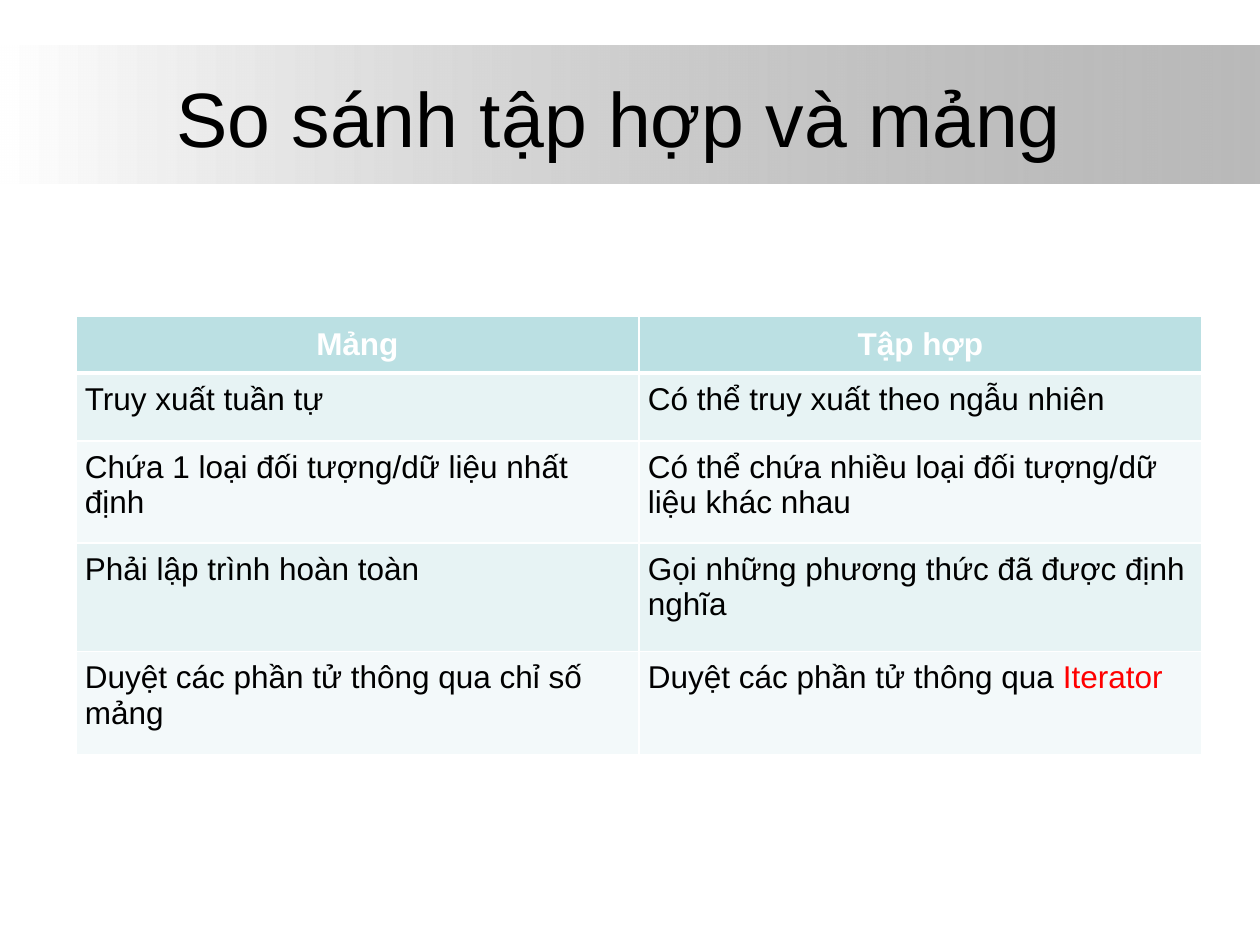
import lxml.etree
import pptx
import pptx.dml.color
import pptx.enum.shapes
import pptx.enum.text
import pptx.oxml.ns
import pptx.util
from pptx.util import Cm

ALIGN = pptx.enum.text.PP_ALIGN
ANCHOR = pptx.enum.text.MSO_ANCHOR

HEADINGS = ["Mảng", "Tập hợp"]
COMPARISONS = [
    (["Truy xuất tuần tự"], ["Có thể truy xuất theo ngẫu nhiên"]),
    (["Chứa 1 loại đối tượng/dữ liệu nhất định"],
     ["Có thể chứa nhiều loại đối tượng/dữ liệu khác nhau"]),
    (["Phải lập trình hoàn toàn"], ["Gọi những phương thức đã được định nghĩa"]),
    (["Duyệt các phần tử thông qua chỉ số mảng"],
     ["Duyệt các phần tử thông qua ", ("Iterator", "FF0000")]),
]
ROW_HEIGHTS = [1.14, 1.37, 2.06, 2.18, 2.08]
BAND_FILLS = ["E7F3F4", "F3F9FA"]


def rgb(hex_color):
    return pptx.dml.color.RGBColor.from_string(hex_color)


def write(frame, pieces, size=18, color="000000", bold=False, align=ALIGN.LEFT):
    """Fill one paragraph; a piece is a string or a (string, colour) pair."""
    paragraph = frame.paragraphs[0]
    paragraph.alignment = align
    for piece in pieces:
        words, piece_color = (piece, color) if isinstance(piece, str) else piece
        run = paragraph.add_run()
        run.text = words
        run.font.name = "Arial"
        run.font.size = pptx.util.Pt(size)
        run.font.bold = bold
        run.font.color.rgb = rgb(piece_color)


def add_border(cell, side, width):
    properties = cell._tc.get_or_add_tcPr()
    qn = pptx.oxml.ns.qn
    line = lxml.etree.SubElement(properties, qn(f"a:ln{side}"), w=str(pptx.util.Pt(width)))
    fill = lxml.etree.SubElement(line, qn("a:solidFill"))
    lxml.etree.SubElement(fill, qn("a:srgbClr"), val="FFFFFF")


def add_band(slide, left, top, width, height):
    band = slide.shapes.add_shape(
        pptx.enum.shapes.MSO_SHAPE.RECTANGLE, left, top, width, height)
    band.shadow.inherit = False
    band.line.fill.background()
    band.fill.gradient()
    band.fill.gradient_angle = 0
    for stop, position, color in zip(band.fill.gradient_stops, (0, 1), ("FFFFFF", "808080")):
        stop.position = position
        stop.color.rgb = rgb(color)
    # The grey end is partly transparent
    grey = band._element.spPr.findall(".//" + pptx.oxml.ns.qn("a:srgbClr"))[-1]
    lxml.etree.SubElement(grey, pptx.oxml.ns.qn("a:alpha"), val="54000")


def add_title(slide, left, top, width, height):
    frame = slide.shapes.add_textbox(left, top, width, height).text_frame
    frame.word_wrap = True
    frame.vertical_anchor = ANCHOR.MIDDLE
    write(frame, ["So sánh tập hợp và mảng "], size=44, align=ALIGN.CENTER)


def style_cell(cell, fill, bottom_width):
    cell.margin_left = cell.margin_right = Cm(0.18)
    cell.margin_top = cell.margin_bottom = Cm(0.18)
    for side, width in (("L", 1), ("R", 1), ("T", 1), ("B", bottom_width)):
        add_border(cell, side, width)
    cell.fill.solid()
    cell.fill.fore_color.rgb = rgb(fill)


def add_comparison(slide, left, top, width, height):
    table = slide.shapes.add_table(
        len(ROW_HEIGHTS), len(HEADINGS), left, top, width, height).table
    for column in table.columns:
        column.width = width // len(HEADINGS)
    for row, row_height in zip(table.rows, ROW_HEIGHTS):
        row.height = Cm(row_height)

    # Heading row
    for cell, heading in zip(table.rows[0].cells, HEADINGS):
        style_cell(cell, "BBE0E3", 3)
        cell.vertical_anchor = ANCHOR.MIDDLE
        write(cell.text_frame, [heading], color="FFFFFF", bold=True, align=ALIGN.CENTER)

    # Body rows in alternating bands
    for index, comparison in enumerate(COMPARISONS):
        for cell, pieces in zip(table.rows[index + 1].cells, comparison):
            style_cell(cell, BAND_FILLS[index % 2], 1)
            write(cell.text_frame, pieces)


def main():
    deck = pptx.Presentation()
    deck.slide_width, deck.slide_height = Cm(25.4), Cm(19.05)
    slide = deck.slides.add_slide(deck.slide_layouts[6])
    add_band(slide, 0, Cm(0.91), deck.slide_width, Cm(2.8))
    add_title(slide, Cm(1.27), Cm(0.76), Cm(22.86), Cm(3.18))
    add_comparison(slide, Cm(1.53), Cm(6.38), Cm(22.7), Cm(sum(ROW_HEIGHTS)))
    deck.save("out.pptx")


if __name__ == "__main__":
    main()
